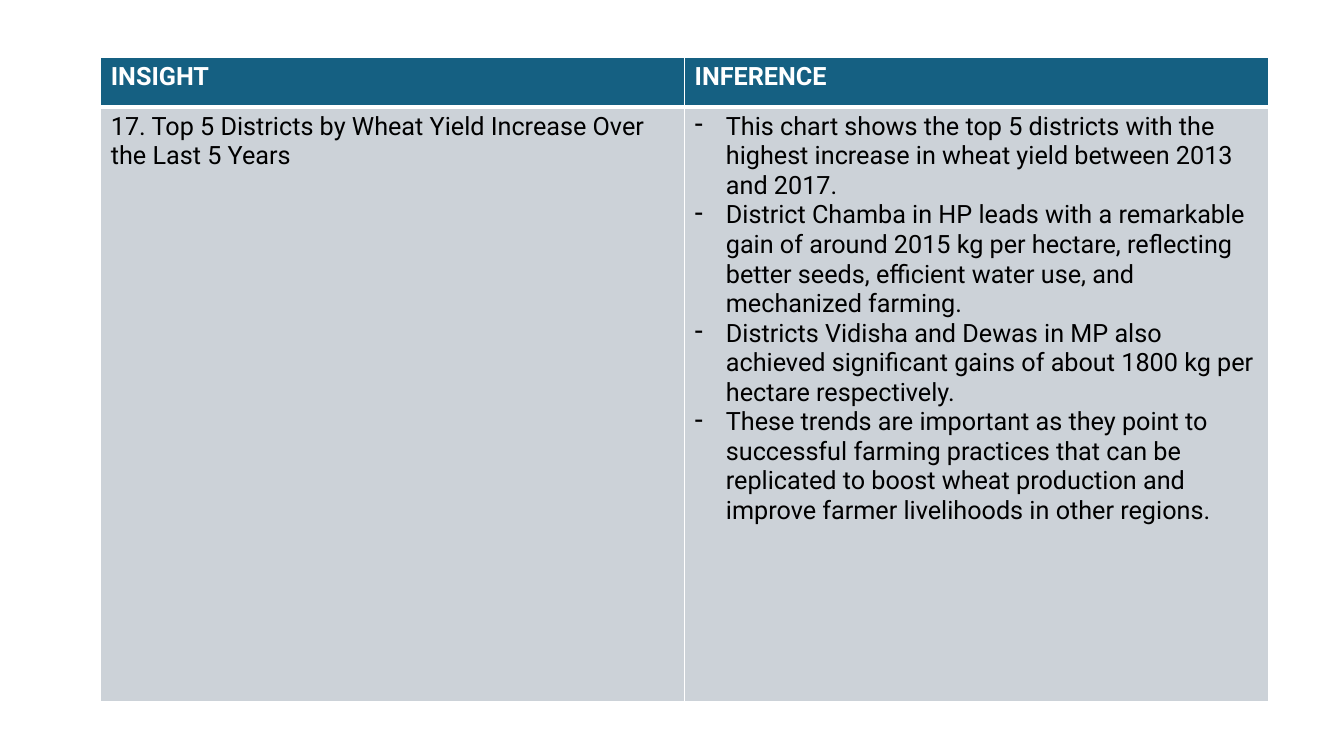
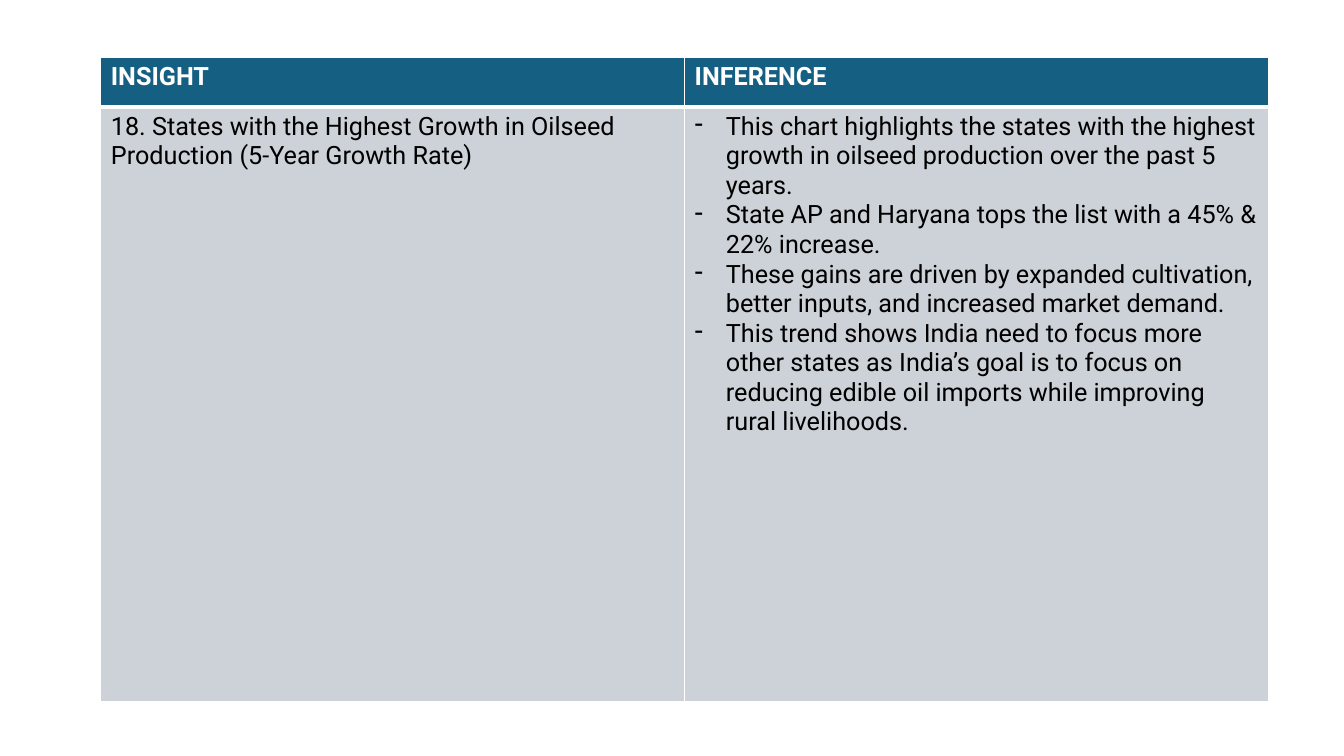
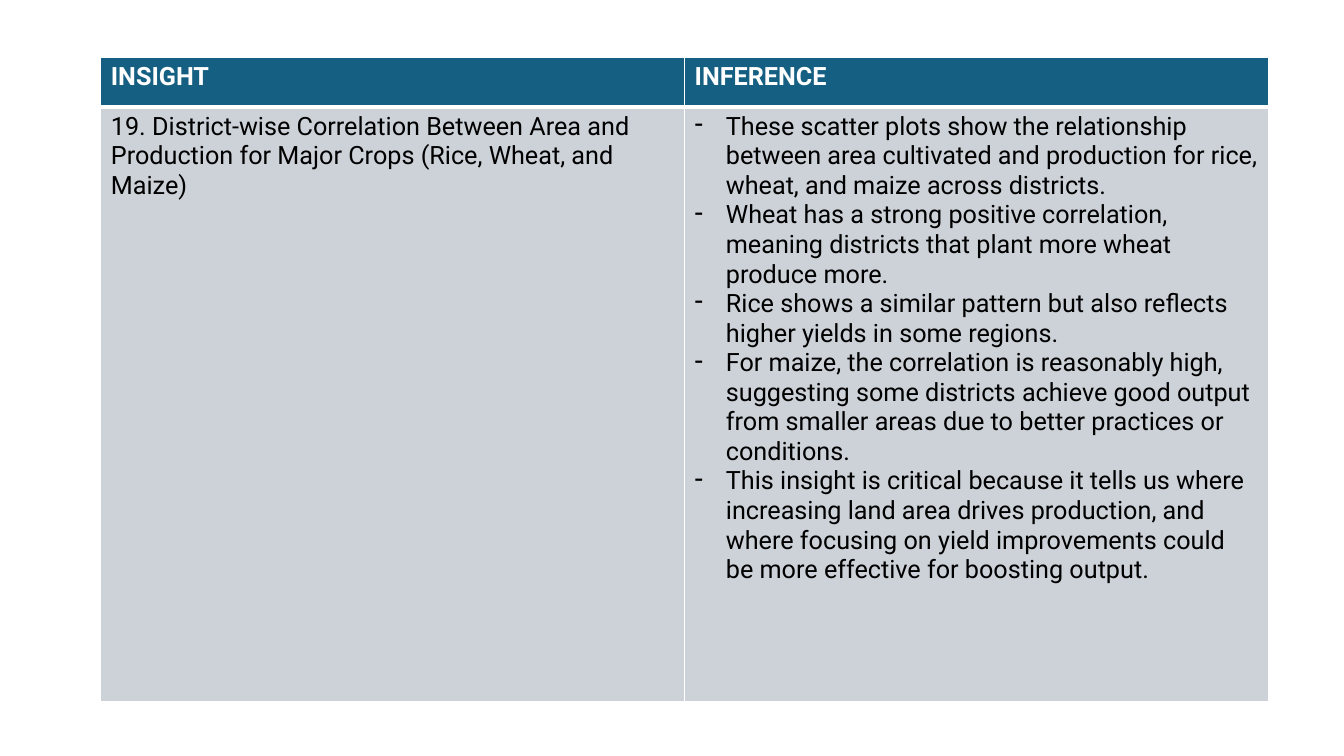
"""Build three insight and inference table slides on crop trends."""
import pptx
import pptx.dml.color
import pptx.oxml.ns
import pptx.util
from lxml import etree

Inches = pptx.util.Inches
Pt = pptx.util.Pt

COLORS = {"header": "156082", "body": "CCD2D8", "white": "FFFFFF", "black": "000000"}
FONT = "Roboto"
FONT_SIZE = 18
COLUMN_WIDTH = 5.79
ROW_HEIGHTS = [0.49, 5.9]
BULLET_INDENT = 0.31
HEADINGS = ["INSIGHT", "INFERENCE"]
INSIGHTS = [
    (
        "17. Top 5 Districts by Wheat Yield Increase Over the Last 5 Years",
        [
            "This chart shows the top 5 districts with the highest increase in wheat yield between 2013 and 2017.",
            "District Chamba in HP leads with a remarkable gain of around 2015 kg per hectare, "
            "reflecting better seeds, efficient water use, and mechanized farming.",
            "Districts Vidisha and Dewas in MP also achieved significant gains of about 1800 kg per hectare respectively.",
            "These trends are important as they point to successful farming practices that can be "
            "replicated to boost wheat production and improve farmer livelihoods in other regions.",
        ],
    ),
    (
        "18. States with the Highest Growth in Oilseed Production (5-Year Growth Rate)",
        [
            "This chart highlights the states with the highest growth in oilseed production over the past 5 years.",
            "State AP and Haryana tops the list with a 45% & 22% increase.",
            "These gains are driven by expanded cultivation, better inputs, and increased market demand.",
            "This trend shows India need to focus more other states as India’s goal is to focus on "
            "reducing edible oil imports while improving rural livelihoods.",
        ],
    ),
    (
        "19. District-wise Correlation Between Area and Production for Major Crops (Rice, Wheat, and Maize)",
        [
            "These scatter plots show the relationship between area cultivated and production for rice, "
            "wheat, and maize across districts.",
            "Wheat has a strong positive correlation, meaning districts that plant more wheat produce more.",
            "Rice shows a similar pattern but also reflects higher yields in some regions.",
            "For maize, the correlation is reasonably high, suggesting some districts achieve good output "
            "from smaller areas due to better practices or conditions.",
            "This insight is critical because it tells us where increasing land area drives production, "
            "and where focusing on yield improvements could be more effective for boosting output.",
        ],
    ),
]


def add_child(parent, tag, **attributes):
    child = etree.SubElement(parent, pptx.oxml.ns.qn(tag))
    for name, value in attributes.items():
        child.set(name, str(value))
    return child


def fill_cell(cell, texts, is_header, bulleted):
    properties = cell._tc.get_or_add_tcPr()
    divider = "a:lnB" if is_header else "a:lnT"
    for side in ("a:lnL", "a:lnR", "a:lnT", "a:lnB"):
        border = add_child(properties, side, w=Pt(3 if side == divider else 1))
        add_child(add_child(border, "a:solidFill"), "a:srgbClr", val=COLORS["white"])
    cell.fill.solid()
    cell.fill.fore_color.rgb = pptx.dml.color.RGBColor.from_string(COLORS["header" if is_header else "body"])
    cell.text = "\n".join(texts)
    for paragraph in cell.text_frame.paragraphs:
        paragraph.font.name = FONT
        paragraph.font.size = Pt(FONT_SIZE)
        paragraph.font.bold = is_header
        paragraph.font.color.rgb = pptx.dml.color.RGBColor.from_string(COLORS["white" if is_header else "black"])
        if bulleted:
            layout = paragraph._p.get_or_add_pPr()
            layout.set("marL", str(Inches(BULLET_INDENT)))
            layout.set("indent", str(-Inches(BULLET_INDENT)))
            bullet = etree.Element(pptx.oxml.ns.qn("a:buChar"), char="-")
            layout.insert(0, bullet)


presentation = pptx.Presentation()
presentation.slide_width = Inches(13.33)
presentation.slide_height = Inches(7.5)

for insight, inferences in INSIGHTS:
    slide = presentation.slides.add_slide(presentation.slide_layouts[6])
    table = slide.shapes.add_table(
        2, 2, Inches(1), Inches(0.57), Inches(2 * COLUMN_WIDTH), Inches(sum(ROW_HEIGHTS))
    ).table
    for column in table.columns:
        column.width = Inches(COLUMN_WIDTH)
    for row, height in zip(table.rows, ROW_HEIGHTS):
        row.height = Inches(height)
    for column_index, body_texts in enumerate([[insight], inferences]):
        fill_cell(table.cell(0, column_index), [HEADINGS[column_index]], True, False)
        fill_cell(table.cell(1, column_index), body_texts, False, column_index == 1)

presentation.save("out.pptx")
